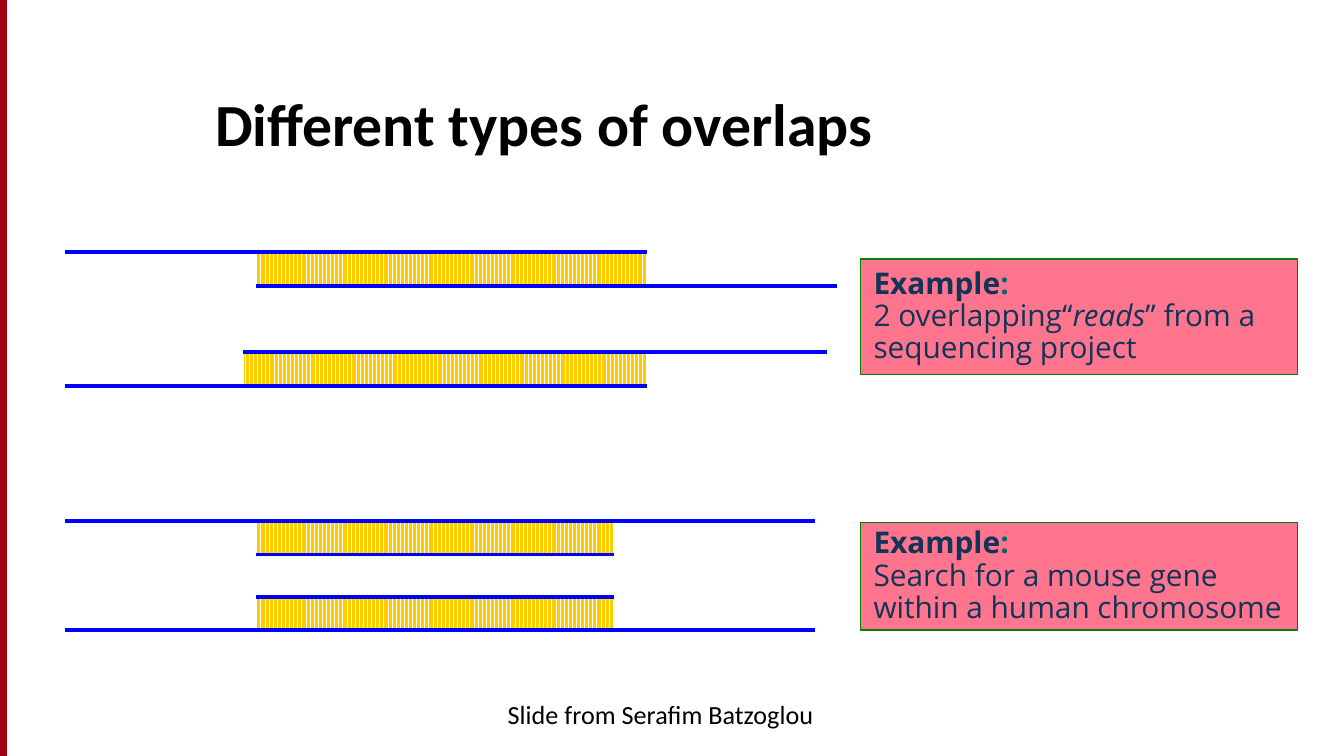
"""Build the slide on the different types of overlaps between sequences."""
import pptx
import pptx.util
import pptx.dml.color
import pptx.enum.dml
import pptx.enum.shapes
import pptx.enum.text
import pptx.oxml.ns
import lxml.etree

Cm, Pt = pptx.util.Cm, pptx.util.Pt
RECTANGLE = pptx.enum.shapes.MSO_SHAPE.RECTANGLE
ALIGN = pptx.enum.text.PP_ALIGN
ANCHOR = pptx.enum.text.MSO_ANCHOR

COLORS = {"black": "000000", "white": "FFFFFF", "strand": "0000FF",
          "match": "FFCC00", "callout": "FF758D", "border": "008000",
          "navy": "113457", "teal": "006666", "bar": "A40508", "bar_edge": "A4001D"}

TITLE = "Different types of overlaps"
CREDIT = "Slide from Serafim Batzoglou"
STRAND_GAP = 0.63
OVERLAPS = [
    (4.77, (1.22, 12.22), (4.83, 15.82)),
    (6.66, (4.6, 15.62), (1.22, 12.22)),
    (9.85, (1.22, 15.4), (4.83, 11.6)),
    (11.28, (4.83, 11.6), (1.22, 15.4)),
]
HEADING = [("Example", "navy", True, False), (":", "teal", True, False)]
CALLOUTS = [
    (4.9, 2.18, [HEADING,
                 [("2 overlapping“", "navy", False, False),
                  ("reads", "navy", False, True),
                  ("” from a ", "navy", False, False)],
                 [("sequencing project ", "navy", False, False)]]),
    (9.88, 2.03, [HEADING,
                  [("Search for a mouse gene", "navy", False, False)],
                  [("within a human chromosome", "navy", False, False)]]),
]


def rgb(name):
    return pptx.dml.color.RGBColor.from_string(COLORS[name])


def add_run(paragraph, text, font, size, color, bold=False, italic=False):
    run = paragraph.add_run()
    run.text = text
    run.font.name, run.font.size = font, Pt(size)
    run.font.bold, run.font.italic = bold, italic
    run.font.color.rgb = rgb(color)


def place(shape, left, top, width, height):
    shape.left, shape.top = Cm(left), Cm(top)
    shape.width, shape.height = Cm(width), Cm(height)


def add_rectangle(left, top, width, height, fill, edge=None):
    box = slide.shapes.add_shape(RECTANGLE, Cm(left), Cm(top), Cm(width), Cm(height))
    box.shadow.inherit = False
    box.fill.solid()
    box.fill.fore_color.rgb = rgb(fill)
    if edge:
        box.line.color.rgb = rgb(edge)
        box.line.width = Pt(0.75)
    else:
        box.line.fill.background()
    return box


def add_match(left, top, width):
    match = add_rectangle(left, top, width, STRAND_GAP, "match")
    match.fill.patterned()
    match.fill.pattern = pptx.enum.dml.MSO_PATTERN.DARK_VERTICAL
    match.fill.fore_color.rgb = rgb("match")
    match.fill.back_color.rgb = rgb("white")


def add_strand(span, y):
    start, end = span
    strand = slide.shapes.add_connector(
        pptx.enum.shapes.MSO_CONNECTOR.STRAIGHT, Cm(start), Cm(y), Cm(end), Cm(y))
    strand.line.color.rgb = rgb("strand")
    strand.line.width = Pt(2)
    lxml.etree.SubElement(strand._element.spPr, pptx.oxml.ns.qn("a:effectLst"))


def add_callout(top, height, lines):
    callout = add_rectangle(16.26, top, 8.26, height, "callout", "border")
    frame = callout.text_frame
    frame.word_wrap = True
    frame.vertical_anchor = ANCHOR.MIDDLE
    frame.margin_right = Cm(0)
    for index, runs in enumerate(lines):
        paragraph = frame.add_paragraph() if index else frame.paragraphs[0]
        paragraph.alignment = ALIGN.LEFT
        paragraph.line_spacing = 0.9
        for text, color, bold, italic in runs:
            add_run(paragraph, text, "Open Sans", 16, color, bold, italic)


deck = pptx.Presentation()
deck.slide_width, deck.slide_height = Cm(25.4), Cm(14.29)
slide = deck.slides.add_slide(deck.slide_layouts[5])

add_rectangle(0, 0, 0.12, 14.29, "bar", "bar_edge")

title = slide.shapes.title
place(title, 3.81, 1.06, 20.75, 2.06)
title.text_frame.vertical_anchor = ANCHOR.BOTTOM
heading = title.text_frame.paragraphs[0]
heading.alignment = ALIGN.LEFT
add_run(heading, TITLE, "Calibri", 32, "black", bold=True)

for top, upper, lower in OVERLAPS:
    start, end = max(upper[0], lower[0]), min(upper[1], lower[1])
    add_match(start, top, end - start)
    add_strand(upper, top)
    add_strand(lower, top + STRAND_GAP)

for callout_parts in CALLOUTS:
    add_callout(*callout_parts)

credit = slide.shapes.add_textbox(Cm(8.46), Cm(13.08), Cm(8.05), Cm(0.95))
credit.text_frame.word_wrap = True
credit_line = credit.text_frame.paragraphs[0]
credit_line.alignment = ALIGN.CENTER
add_run(credit_line, CREDIT, "Calibri", 14, "black")

deck.save("out.pptx")
